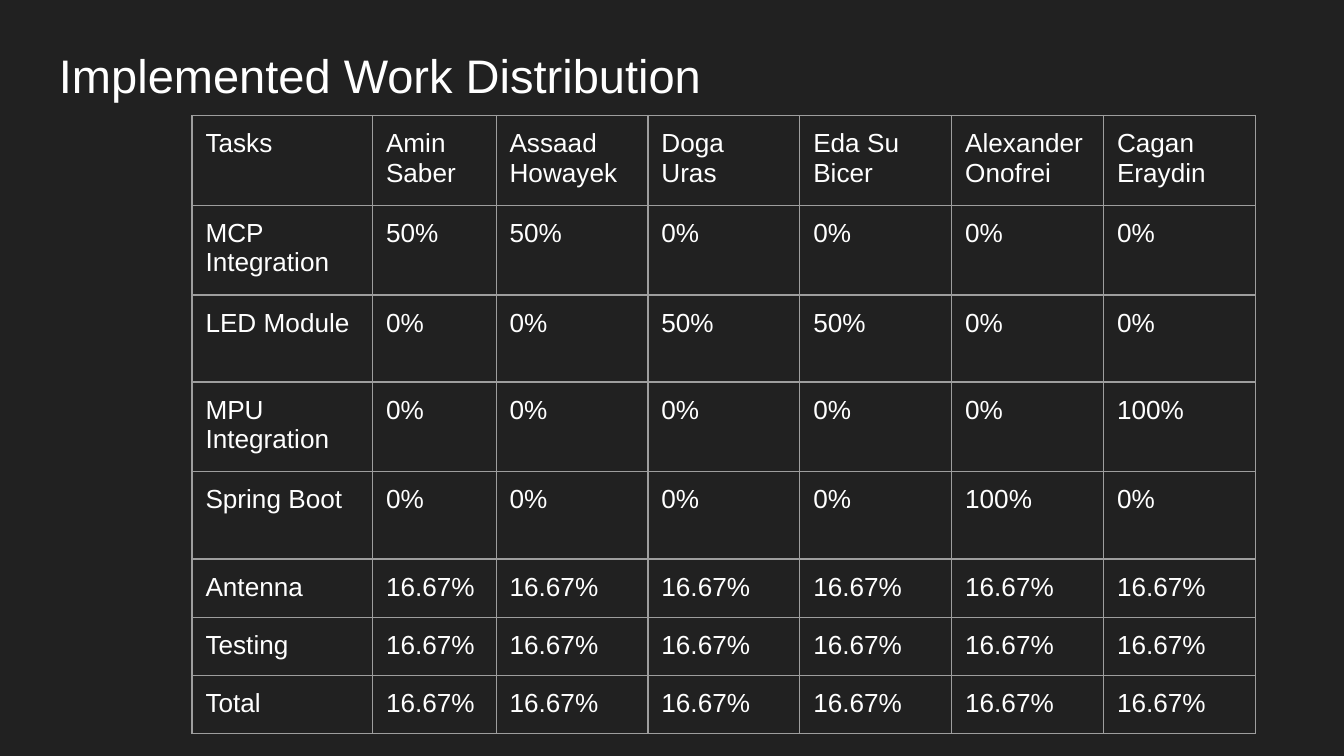
"""Build the slide showing how the implemented work was distributed."""
from dataclasses import dataclass

from lxml.etree import SubElement
from pptx import Presentation
from pptx.dml.color import RGBColor
from pptx.enum.text import MSO_ANCHOR
from pptx.oxml.ns import qn
from pptx.util import Pt

HEADING = "Implemented Work Distribution"
MEMBERS = ["Amin Saber", "Assaad Howayek", "Doga\nUras", "Eda Su Bicer",
           "Alexander Onofrei", "Cagan Eraydin"]
SPLIT_TASKS = [
    ("MCP Integration", [50, 50, 0, 0, 0, 0]),
    ("LED Module", [0, 0, 50, 50, 0, 0]),
    ("MPU\nIntegration", [0, 0, 0, 0, 0, 100]),
    ("Spring Boot", [0, 0, 0, 0, 100, 0]),
]
SHARED_TASKS = ["Antenna", "Testing", "Total"]
EQUAL_SHARE = round(100 / len(MEMBERS), 2)

TALL_ROWS = [["Tasks", *MEMBERS]] + [
    [task, *(f"{share}%" for share in shares)] for task, shares in SPLIT_TASKS]
SHORT_ROWS = [[task] + [f"{EQUAL_SHARE}%"] * len(MEMBERS) for task in SHARED_TASKS]
ROWS = TALL_ROWS + SHORT_ROWS

COLUMN_WIDTHS = [96.7, 66.2] + [81.36] * (len(MEMBERS) - 1)
ROW_HEIGHTS = [46.7] * len(TALL_ROWS) + [30.6] * len(SHORT_ROWS)
TABLE_LEFT, TABLE_TOP = 102.9, 61.9


@dataclass(frozen=True)
class Theme:
    font: str = "Arial"
    background: str = "212121"
    text: str = "FFFFFF"
    border: str = "9E9E9E"
    border_width: float = 0.75
    heading_size: float = 25.2
    cell_size: float = 14
    inset: float = 7.2


THEME = Theme()
INSETS = {f"margin_{side}": Pt(THEME.inset) for side in ("left", "right", "top", "bottom")}


def apply(target, formats):
    for name, value in formats.items():
        setattr(target, name, value)


def write(frame, words, size):
    frame.text = words
    for paragraph in frame.paragraphs:
        apply(paragraph.font, {"name": THEME.font, "size": Pt(size)})
        for run in paragraph.runs:
            apply(run.font, {"name": THEME.font, "size": Pt(size)})
            run.font.color.rgb = RGBColor.from_string(THEME.text)


def outline(cell):
    properties = cell._tc.get_or_add_tcPr()
    for edge in ("a:lnL", "a:lnR", "a:lnT", "a:lnB"):
        line = SubElement(properties, qn(edge), w=str(Pt(THEME.border_width)))
        SubElement(SubElement(line, qn("a:solidFill")), qn("a:srgbClr"), val=THEME.border)


def add_heading(slide):
    heading = slide.shapes.add_textbox(Pt(24.5), Pt(17.5), Pt(671), Pt(45.1)).text_frame
    apply(heading, {"word_wrap": True, "vertical_anchor": MSO_ANCHOR.BOTTOM, **INSETS})
    write(heading, HEADING, THEME.heading_size)


def add_distribution(slide):
    distribution = slide.shapes.add_table(
        len(ROWS), len(COLUMN_WIDTHS), Pt(TABLE_LEFT), Pt(TABLE_TOP),
        Pt(sum(COLUMN_WIDTHS)), Pt(sum(ROW_HEIGHTS))).table
    apply(distribution, {"first_row": False, "horz_banding": False})
    for column, width in zip(distribution.columns, COLUMN_WIDTHS):
        column.width = Pt(width)
    for row, height, entries in zip(distribution.rows, ROW_HEIGHTS, ROWS):
        row.height = Pt(height)
        for cell, entry in zip(row.cells, entries):
            apply(cell, INSETS)
            write(cell.text_frame, entry, THEME.cell_size)
            outline(cell)
            cell.fill.background()


def main():
    deck = Presentation()
    apply(deck, {"slide_width": Pt(720), "slide_height": Pt(405)})
    slide = deck.slides.add_slide(deck.slide_layouts[6])
    slide.background.fill.solid()
    slide.background.fill.fore_color.rgb = RGBColor.from_string(THEME.background)
    add_heading(slide)
    add_distribution(slide)
    deck.save("out.pptx")


if __name__ == "__main__":
    main()
